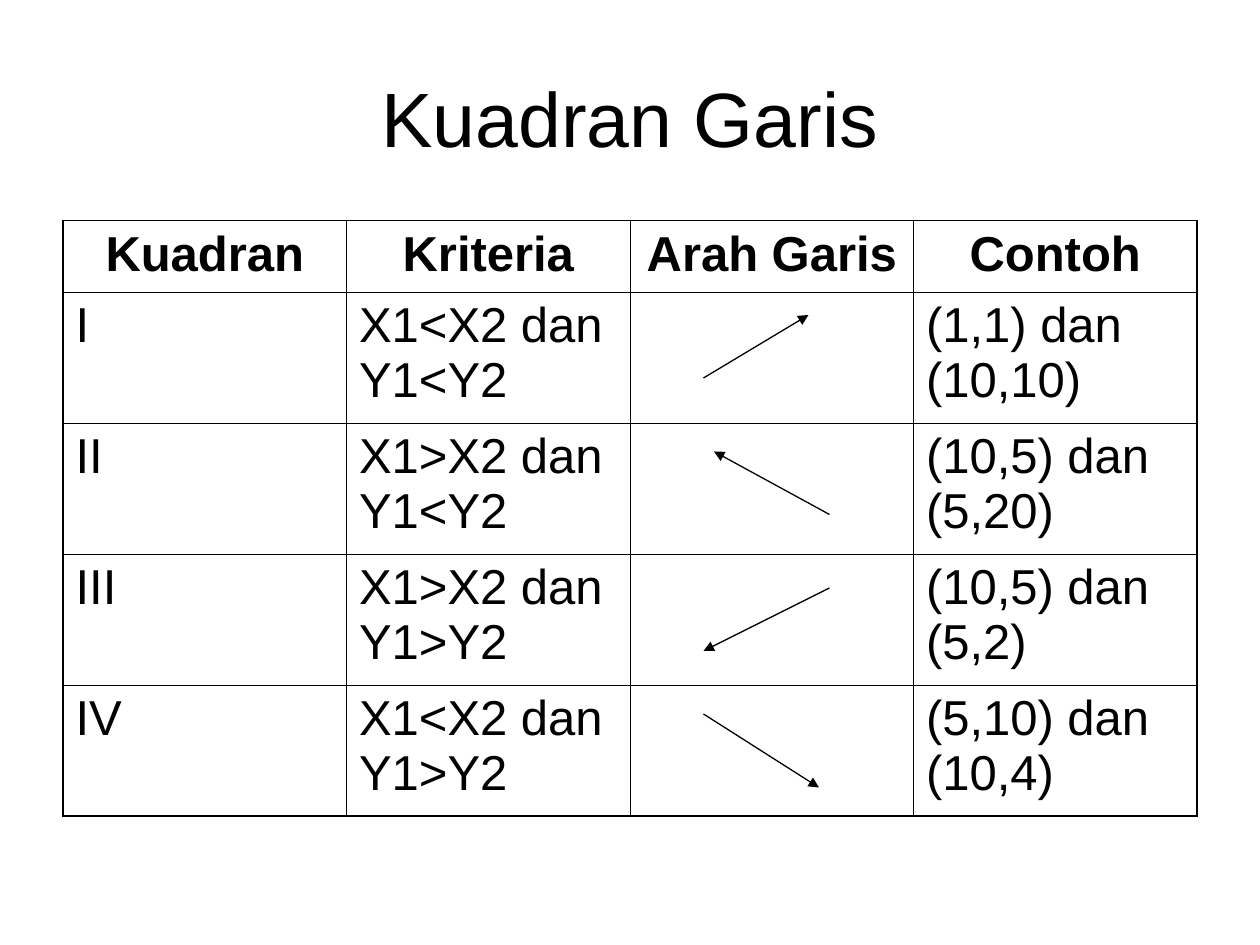
import pptx
import pptx.dml.color
import pptx.enum.shapes
import pptx.enum.text
import pptx.oxml.ns
import pptx.util
from lxml import etree

UNIT = 12  # grid units per inch: the slide is 120 columns by 90 rows
FONT, INK = "Arial", "000000"
THIN, THICK = 0.45, 1.08
ALIGN = pptx.enum.text.PP_ALIGN

TITLE_BOX = (6, 3.6, 108, 15)
TABLE_BOX = (6, 21, 108, 56.76)
HEADER_ROWS = 6.84

HEADER = ("Kuadran", "Kriteria", "Arah Garis", "Contoh")
QUADRANTS = (
    ("I", "X1<X2 dan Y1<Y2", "", "(1,1) dan (10,10)"),
    ("II", "X1>X2 dan Y1<Y2", "", "(10,5) dan (5,20)"),
    ("III", "X1>X2 dan Y1>Y2", "", "(10,5) dan (5,2)"),
    ("IV", "X1<X2 dan Y1>Y2", "", "(5,10) dan (10,4)"),
)
# Start and end of each direction arrow, in grid units from the table's corner
ARROWS = (
    (61, 15, 71, 9),
    (73, 28, 62, 22),
    (73, 35, 61, 41),
    (61, 47, 72, 54),
)


def grid(*values):
    return [pptx.util.Inches(value / UNIT) for value in values]


def color(hex_code):
    return pptx.dml.color.RGBColor.from_string(hex_code)


def child(parent, tag, **attributes):
    return etree.SubElement(parent, pptx.oxml.ns.qn(tag), **attributes)


def write(para, text, size, align, bold=False):
    para.alignment = align
    span = para.add_run()
    span.text = text
    span.font.name = FONT
    span.font.size = pptx.util.Pt(size)
    span.font.bold = bold
    span.font.color.rgb = color(INK)


def add_title(page, box, text):
    frame = page.shapes.add_textbox(*grid(*box)).text_frame
    frame.word_wrap = True
    frame.vertical_anchor = pptx.enum.text.MSO_ANCHOR.MIDDLE
    write(frame.paragraphs[0], text, 44, ALIGN.CENTER)


def set_borders(cell, widths):
    """Draw the left, right, top and bottom borders, in that order."""
    properties = cell._tc.get_or_add_tcPr()
    for index, (side, width) in enumerate(zip("LRTB", widths)):
        border = child(properties, f"a:ln{side}", w=str(pptx.util.Pt(width)))
        child(child(border, "a:solidFill"), "a:srgbClr", val=INK)
        properties.insert(index, border)


def add_quadrant_table(page, box, records):
    row_count, column_count = len(records), len(records[0])
    table = page.shapes.add_table(row_count, column_count, *grid(*box)).table
    table.first_row = table.horz_banding = False
    body_rows = (box[3] - HEADER_ROWS) / (row_count - 1)
    for index, row in enumerate(table.rows):
        row.height = grid(body_rows if index else HEADER_ROWS)[0]

    for r, record in enumerate(records):
        for c, text in enumerate(record):
            cell = table.cell(r, c)
            cell.fill.background()
            outer = (c == 0, c == column_count - 1, r == 0, r == row_count - 1)
            set_borders(cell, [THICK if edge else THIN for edge in outer])
            if text:
                para = cell.text_frame.paragraphs[0]
                para.space_before = pptx.util.Pt(7)
                write(para, text, 28, ALIGN.LEFT if r else ALIGN.CENTER, bold=r == 0)


def add_arrows(page, box, arrows):
    left, top = box[:2]
    for x1, y1, x2, y2 in arrows:
        arrow = page.shapes.add_connector(
            pptx.enum.shapes.MSO_CONNECTOR.STRAIGHT,
            *grid(left + x1, top + y1, left + x2, top + y2))
        arrow.line.color.rgb = color(INK)
        arrow.line.width = pptx.util.Pt(0.75)
        child(arrow.line._get_or_add_ln(), "a:tailEnd", type="triangle")
        child(arrow._element.spPr, "a:effectLst")


def main():
    deck = pptx.Presentation()
    deck.slide_width, deck.slide_height = grid(120, 90)
    page = deck.slides.add_slide(deck.slide_layouts[6])
    add_title(page, TITLE_BOX, "Kuadran Garis")
    add_quadrant_table(page, TABLE_BOX, (HEADER, *QUADRANTS))
    add_arrows(page, TABLE_BOX, ARROWS)
    deck.save("out.pptx")


if __name__ == "__main__":
    main()
